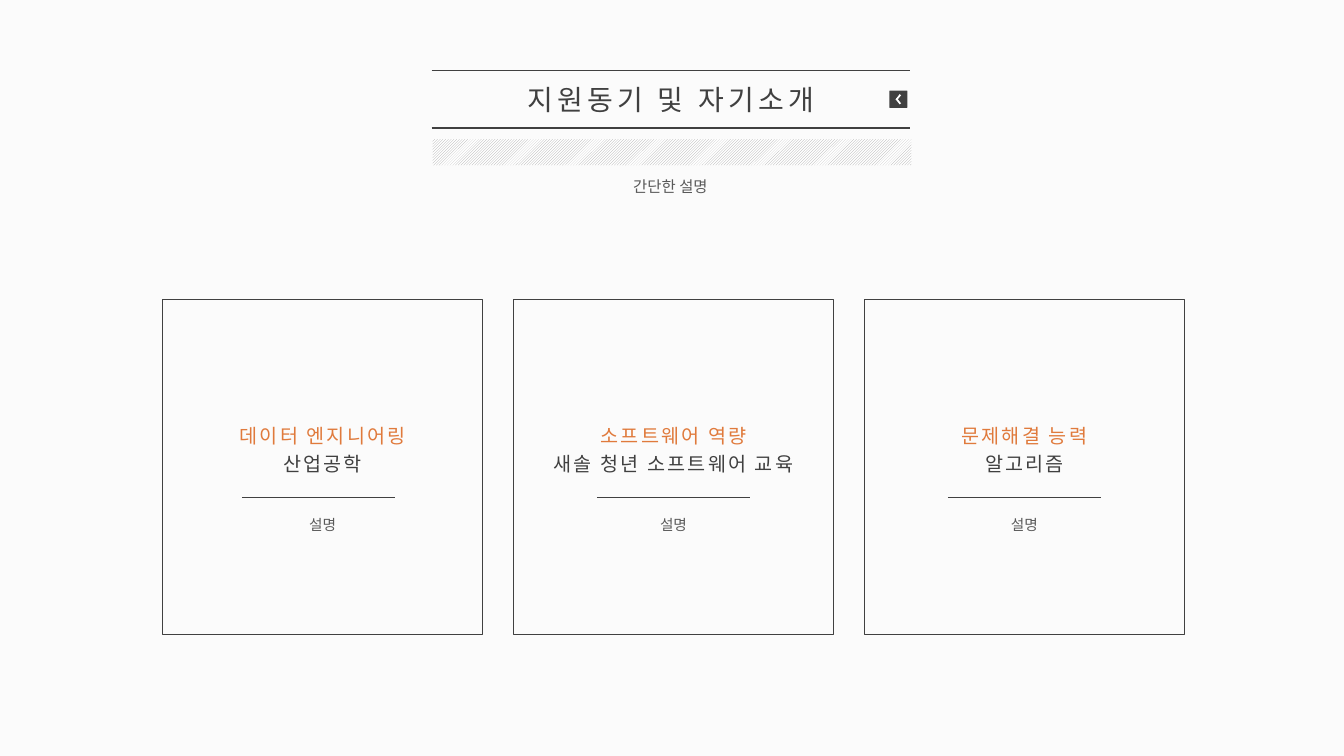
from dataclasses import dataclass

from lxml import etree
from pptx import Presentation
from pptx.dml.color import RGBColor
from pptx.enum import dml, shapes, text
from pptx.oxml import ns
from pptx.util import Inches, Pt


@dataclass(frozen=True)
class Theme:
    paper: str = "FBFBFB"
    white: str = "FFFFFF"
    ink: str = "404040"
    muted: str = "595959"
    accent: str = "E07A3C"
    hatch: str = "A6A6A6"
    korean: str = "Noto Sans CJK KR"
    title_size: float = 20
    subtitle_size: float = 11
    heading_size: float = 14
    note_size: float = 10.5


@dataclass(frozen=True)
class Style:
    size: float
    font: str
    color: str
    tracking: float = 0


@dataclass(frozen=True)
class Card:
    topic: str
    background: str
    note: str
    heading_width: float
    rule_shift: float = 0


THEME = Theme()
TITLE = Style(THEME.title_size, "Lato", THEME.ink, 3)
SUBTITLE = Style(THEME.subtitle_size, THEME.korean, THEME.muted)
TOPIC = Style(THEME.heading_size, "Lato", THEME.accent, 1.5)
BACKGROUND = Style(THEME.heading_size, "Arial", THEME.ink, 1.5)
NOTE = Style(THEME.note_size, THEME.korean, THEME.muted)

CARDS = [
    Card("데이터 엔지니어링", "산업공학", "설명", 2.02, -0.04),
    Card("소프트웨어 역량", "새솔 청년 소프트웨어 교육", "설명", 2.82),
    Card("문제해결 능력", "알고리즘", "설명", 1.58),
]
CARD_LEFT, CARD_TOP, CARD_WIDTH, CARD_HEIGHT = 1.61, 2.97, 3.18, 3.33
CARD_STEP = 3.48
RULE_WIDTH, RULE_TOP = 1.52, 4.93


def rgb(color: str) -> RGBColor:
    return RGBColor.from_string(color)


def write(frame, lines: list[tuple[str, Style]], spacing: float | None = None) -> None:
    """Fill a text frame with centred lines, one style for each."""
    frame.text = "\n".join(words for words, _ in lines)
    frame.word_wrap = False
    frame.auto_size = text.MSO_AUTO_SIZE.SHAPE_TO_FIT_TEXT
    frame.vertical_anchor = text.MSO_ANCHOR.TOP
    for paragraph, (_, style) in zip(frame.paragraphs, lines):
        paragraph.alignment = text.PP_ALIGN.CENTER
        if spacing:
            paragraph.line_spacing = spacing
        for run in paragraph.runs:
            run.font.size = Pt(style.size)
            run.font.name = style.font
            run.font.color.rgb = rgb(style.color)
            properties = run.font._element
            etree.SubElement(properties, ns.qn("a:ea"), typeface=THEME.korean)
            if style.tracking:
                properties.set("spc", str(int(style.tracking * 100)))


def add_label(slide, center: float, top: float, width: float, height: float,
              lines: list[tuple[str, Style]]) -> None:
    label = slide.shapes.add_textbox(
        Inches(center - width / 2), Inches(top), Inches(width), Inches(height))
    write(label.text_frame, lines, 1.2)


def add_line(parent, start: tuple[float, float], end: tuple[float, float],
             color: str, weight: float) -> None:
    line = parent.shapes.add_connector(
        shapes.MSO_CONNECTOR.STRAIGHT, *map(Inches, start + end))
    line.line.color.rgb = rgb(color)
    line.line.width = Pt(weight)
    etree.SubElement(line._element.spPr, ns.qn("a:effectLst"))


def add_block(parent, kind, left: float, top: float, width: float, height: float):
    block = parent.shapes.add_shape(
        kind, Inches(left), Inches(top), Inches(width), Inches(height))
    block.shadow.inherit = False
    block.line.fill.background()
    return block


def add_header(slide) -> None:
    # Title between two rules
    title = slide.shapes.title
    title.left, title.top = Inches(4.98), Inches(0.77)
    title.width, title.height = Inches(3.35), Inches(0.44)
    write(title.text_frame, [("지원동기 및 자기소개", TITLE)])
    for y in (0.7, 1.27):
        add_line(slide, (4.28, y), (9.03, y), THEME.ink, 1)

    # Back button
    button = slide.shapes.add_group_shape()
    key = add_block(button, shapes.MSO_SHAPE.ROUNDED_RECTANGLE, 8.82, 0.9, 0.18, 0.17)
    key.adjustments[0] = 0.035
    key.fill.solid()
    key.fill.fore_color.rgb = rgb(THEME.ink)
    for outer, inner in ((0.94, 0.99), (1.03, 0.98)):
        add_line(button, (8.93, outer), (8.89, inner), THEME.white, 1.25)

    # Hatched band and subtitle
    band = add_block(slide, shapes.MSO_SHAPE.RECTANGLE, 4.29, 1.38, 4.75, 0.26)
    band.fill.patterned()
    band.fill.pattern = dml.MSO_PATTERN.LIGHT_UPWARD_DIAGONAL
    band.fill.fore_color.rgb = rgb(THEME.hatch)
    band.fill.back_color.rgb = rgb(THEME.white)
    add_label(slide, 6.65, 1.67, 1.03, 0.32, [("간단한 설명", SUBTITLE)])


def add_card(slide, card: Card, left: float) -> None:
    frame = add_block(slide, shapes.MSO_SHAPE.RECTANGLE,
                      left, CARD_TOP, CARD_WIDTH, CARD_HEIGHT)
    frame.fill.background()
    frame.line.color.rgb = rgb(THEME.ink)
    frame.line.width = Pt(0.75)

    center = left + CARD_WIDTH / 2
    add_label(slide, center, 4.11, card.heading_width, 0.65,
              [(card.topic, TOPIC), (card.background, BACKGROUND)])
    rule_left = center + card.rule_shift - RULE_WIDTH / 2
    add_line(slide, (rule_left, RULE_TOP), (rule_left + RULE_WIDTH, RULE_TOP),
             THEME.ink, 0.5)
    add_label(slide, center, 5.03, 0.5, 0.31, [(card.note, NOTE)])


def main() -> None:
    deck = Presentation()
    deck.slide_width, deck.slide_height = Inches(13.33), Inches(7.5)
    slide = deck.slides.add_slide(deck.slide_layouts.get_by_name("Title Only"))
    slide.background.fill.solid()
    slide.background.fill.fore_color.rgb = rgb(THEME.paper)

    add_header(slide)
    for index, card in enumerate(CARDS):
        add_card(slide, card, CARD_LEFT + index * CARD_STEP)
    deck.save("out.pptx")


if __name__ == "__main__":
    main()
